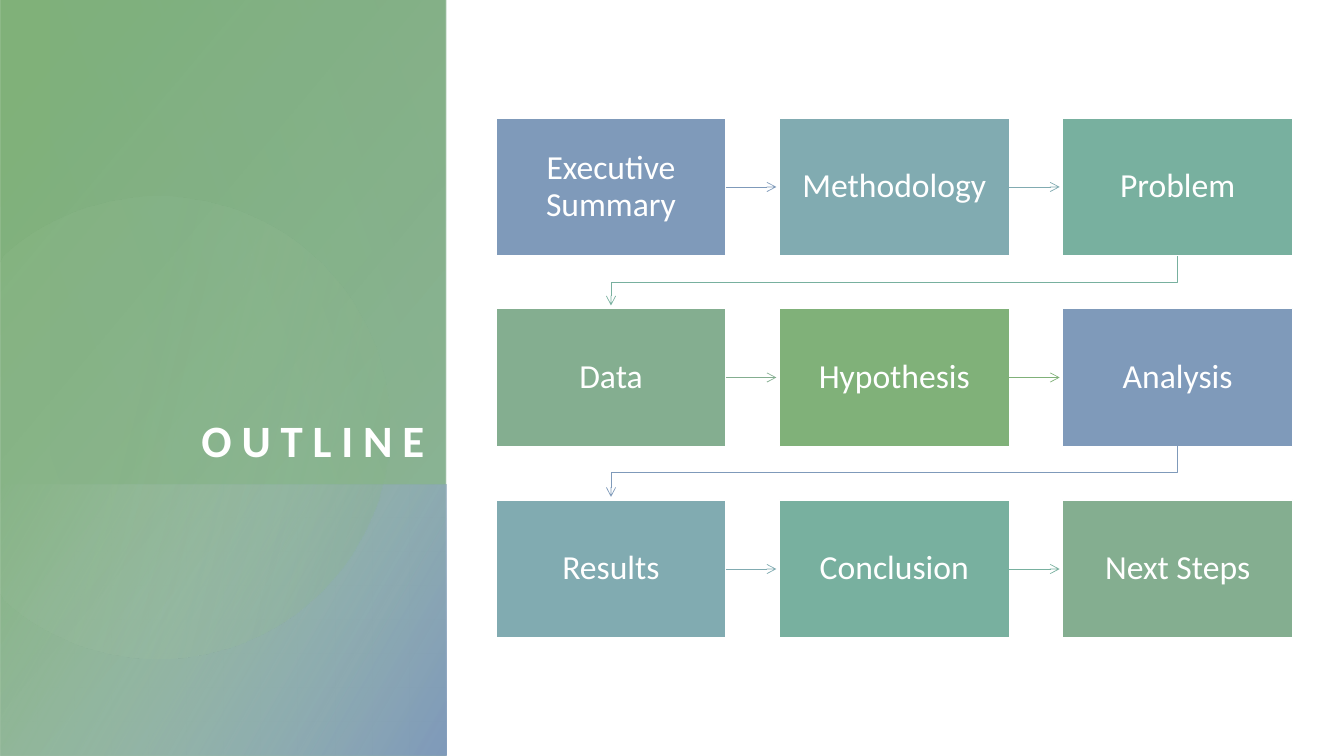
from math import cos, pi, sin

from pptx import Presentation
from pptx.dml.color import RGBColor
from pptx.enum.shapes import MSO_CONNECTOR, MSO_SHAPE
from pptx.enum.text import MSO_ANCHOR, MSO_AUTO_SIZE, PP_ALIGN
from pptx.oxml.ns import qn
from pptx.util import Pt
from lxml.etree import SubElement

PX = 9144
WHITE = RGBColor(0xFF, 0xFF, 0xFF)
BLUE = RGBColor(0x7F, 0x9A, 0xBA)
TEAL = RGBColor(0x81, 0xAB, 0xB1)
JADE = RGBColor(0x78, 0xB0, 0x9F)
SAGE = RGBColor(0x84, 0xAE, 0x90)
GREEN = RGBColor(0x80, 0xB1, 0x79)
MIST = RGBColor(0xB5, 0xCE, 0xBC)
PALE = RGBColor(0xB3, 0xD0, 0xAF)
CYCLE = (BLUE, TEAL, JADE, SAGE, GREEN)
STEPS = ("Executive Summary", "Methodology", "Problem", "Data", "Hypothesis",
         "Analysis", "Results", "Conclusion", "Next Steps")


def emu(*px):
    """Turn px lengths into EMU."""
    return [n * PX for n in px]


def write(shape, text, size=24, bold=False, align=PP_ALIGN.CENTER,
          anchor=MSO_ANCHOR.MIDDLE, pad=(0, 0), lead=None, track=None):
    """Put formatted text into a shape."""
    frame = shape.text_frame
    frame.word_wrap = True
    frame.auto_size = MSO_AUTO_SIZE.NONE
    frame.vertical_anchor = anchor
    frame.margin_left = frame.margin_right = pad[0] * PX
    frame.margin_top = frame.margin_bottom = pad[1] * PX
    para = frame.paragraphs[0]
    para.alignment = align
    if lead:
        para.line_spacing = lead
    run = para.add_run()
    run.text = text
    font = run.font
    font.name, font.size, font.bold = "Calibri", Pt(size), bold
    font.color.rgb = WHITE
    if track:
        run._r.get_or_add_rPr().set("spc", str(track * 100))


def blend(shape, stops, angle):
    """Fill a shape with two (place, colour, opacity) stops, clockwise angle."""
    shape.shadow.inherit = False
    shape.line.fill.background()
    shape.fill.gradient()
    shape.fill.gradient_angle = 360 - angle
    for stop, (place, color, _) in zip(shape.fill.gradient_stops, stops):
        stop.position = place / 100
        stop.color.rgb = color
    tones = shape._element.spPr.iter(qn("a:srgbClr"))
    for tone, (_, _, alpha) in zip(list(tones), stops):
        SubElement(tone, qn("a:alpha")).set("val", str(alpha * 1000))


def wash(slide, box, turn, stops, angle):
    """Add a turned and mirrored gradient rectangle."""
    shape = slide.shapes.add_shape(MSO_SHAPE.RECTANGLE, *emu(*box))
    shape.rotation = turn
    shape._element.spPr.find(qn("a:xfrm")).set("flipH", "1")
    blend(shape, stops, angle)


def trace(slide, points, close):
    """Draw an outline through px points."""
    path = slide.shapes.build_freeform(*points[0], scale=float(PX))
    path.add_line_segments(points[1:], close=close)
    return path.convert_to_shape()


def disc(slide, x, y, radius, left):
    """Draw a pale disc cut off at its left edge."""
    turns = [2 * pi * n / 120 for n in range(120)]
    points = [(max(left, round(x + radius * cos(t), 2)),
               round(y + radius * sin(t), 2)) for t in turns]
    blend(trace(slide, points, True), ((36, PALE, 6), (100, GREEN, 26)), 14)


def panel(slide, x, y, wide, high):
    """Build the shaded panel in its box, with the title in front."""
    low = 269
    top = high - low
    mid = x + wide // 2
    wash(slide, (mid - high // 2, y + (high - wide) // 2, high, wide), 270,
         ((8, GREEN, 100), (100, SAGE, 89)), 50)
    wash(slide, (mid - low // 2, y + top + (low - wide) // 2, low, wide), 270,
         ((0, MIST, 0), (99, BLUE, 100)), 60)
    disc(slide, x + 157, y + 424, 229, x)
    band = 392
    wash(slide, (x + wide - (band + top) // 2, y + (top - band) // 2, top, band),
         90, ((0, SAGE, 29), (100, JADE, 0)), 110)
    title = slide.shapes.title
    title.left, title.top, title.width, title.height = emu(x + 50, y + 95, 371, 368)
    write(title, "OUTLINE", size=32, bold=True, align=PP_ALIGN.RIGHT,
          anchor=MSO_ANCHOR.BOTTOM, track=7)
    title._element.getparent().append(title._element)


def arrow(shape, color):
    """Style a thin line with an open arrowhead at its end."""
    shape.line.color.rgb = color
    shape.line.width = Pt(0.5)
    SubElement(shape.line._get_or_add_ln(), qn("a:tailEnd")).set("type", "arrow")


def flow(slide, x, y, wide, high):
    """Build the three by three chain of steps in its box."""
    w, h, gap = 228, 137, 3
    for n, text in enumerate(STEPS):
        row, col = divmod(n, 3)
        left = x + col * (wide - w) // 2
        top = y + row * (high - h) // 2
        color = CYCLE[n % len(CYCLE)]
        card = slide.shapes.add_shape(MSO_SHAPE.RECTANGLE, *emu(left, top, w, h))
        card.shadow.inherit = False
        card.fill.solid()
        card.fill.fore_color.rgb = color
        card.line.color.rgb = WHITE
        card.line.width = Pt(1)
        write(card, text, pad=(11, 12), lead=0.9)
        if col < 2:
            mid = top + h // 2
            end = x + (col + 1) * (wide - w) // 2 - gap
            link = slide.shapes.add_connector(
                MSO_CONNECTOR.STRAIGHT, *emu(left + w, mid, end, mid))
            link.begin_connect(card, 3)
            link.end_y = link.begin_y
            SubElement(link._element.spPr, qn("a:effectLst"))
            arrow(link, color)
        elif row < 2:
            start, end = left + w // 2, x + w // 2
            base, bend = top + h, top + h + 26
            tip = y + (row + 1) * (high - h) // 2 - gap
            link = trace(slide, [(start, base), (start, bend),
                                 (end, bend), (end, tip)], False)
            link.shadow.inherit = False
            link.fill.background()
            arrow(link, color)


def main():
    """Build and save the outline slide."""
    deck = Presentation()
    deck.slide_width, deck.slide_height = emu(1333, 750)
    slide = deck.slides.add_slide(deck.slide_layouts[5])
    slide.background.fill.solid()
    slide.background.fill.fore_color.rgb = WHITE
    panel(slide, 0, 0, 442, 750)
    flow(slide, 492, 117, 790, 516)
    deck.save("out.pptx")


if __name__ == "__main__":
    main()
